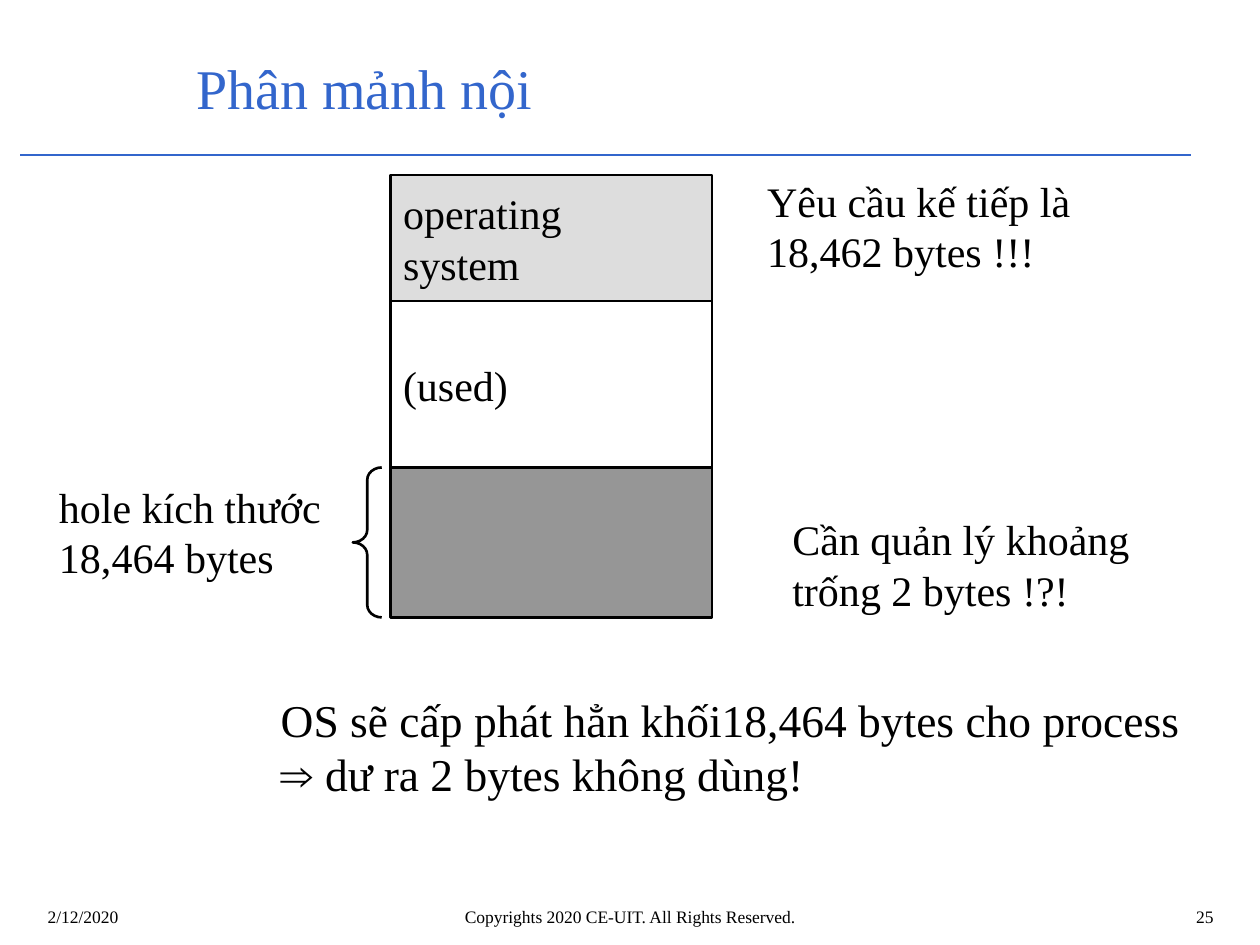
from lxml import etree
from pptx import Presentation
from pptx.dml.color import RGBColor
from pptx.enum import shapes as sh, text as tx
from pptx.oxml.ns import qn
from pptx.util import Inches, Pt

FONT = "Times New Roman"
COLORS = {"ink": "000000", "blue": "3366CC", "light": "DDDDDD", "dark": "969696"}
LEFT, MID, RIGHT = tx.PP_ALIGN.LEFT, tx.PP_ALIGN.CENTER, tx.PP_ALIGN.RIGHT


def color(name):
    return RGBColor.from_string(COLORS[name])


def write(frame, words, size=24, ink="ink", align=LEFT, middle=False, wrap=True):
    frame.text = words
    frame.word_wrap = wrap
    frame.vertical_anchor = tx.MSO_ANCHOR.MIDDLE if middle else tx.MSO_ANCHOR.TOP
    for par in frame.paragraphs:
        par.alignment = align
        for run in par.runs:
            run.font.name = FONT
            run.font.size = Pt(size)
            run.font.color.rgb = color(ink)


def label(slide, box, words, **style):
    area = slide.shapes.add_textbox(*map(Inches, box))
    write(area.text_frame, words, **style)


def outline(slide, kind, box, fill=None):
    """Add a black-edged preset shape, hollow unless a fill is named."""
    shape = slide.shapes.add_shape(kind, *map(Inches, box))
    shape.shadow.inherit = False
    if fill:
        shape.fill.solid()
        shape.fill.fore_color.rgb = color(fill)
    else:
        shape.fill.background()
    shape.line.color.rgb = color("ink")
    shape.line.width = Pt(1.5)
    return shape


def header(slide, left, top, width):
    label(slide, (left + 1.3, top, 8.04, 0.76), "Phân mảnh nội",
          size=32, ink="blue", middle=True)
    y = Inches(top + 0.92)
    rule = slide.shapes.add_connector(
        sh.MSO_CONNECTOR.STRAIGHT, Inches(left), y, Inches(left + width), y)
    rule.line.color.rgb = color("blue")
    rule.line.width = Pt(0.75)
    etree.SubElement(rule._element.spPr, qn("a:effectLst"))


def memory(slide, left, top, width):
    """Stack the memory blocks and bracket the hole at the bottom."""
    blocks = [
        ("operating\nsystem", 1, "light"),
        ("(used)", 1.32, None),
        ("", 1.19, "dark"),
    ]
    for words, height, fill in blocks:
        block = outline(slide, sh.MSO_SHAPE.RECTANGLE, (left, top, width, height), fill)
        if words:
            write(block.text_frame, words, middle=True)
        top += height
    hole = top - height
    brace = outline(slide, sh.MSO_SHAPE.LEFT_BRACE, (left - 0.3, hole, 0.23, height))
    brace.adjustments[0] = 0.43
    label(slide, (left - 2.73, hole + 0.06, 2.3, 0.91),
          "hole kích thước\n18,464 bytes", wrap=False)


def notes(slide, left, top):
    label(slide, (left + 3.86, top, 3.15, 0.91), "Yêu cầu kế tiếp là 18,462 bytes !!!")
    label(slide, (left + 4.06, top + 2.69, 3.31, 0.91),
          "Cần quản lý khoảng trống 2 bytes !?!")
    label(slide, (left, top + 4.1, 7.36, 0.97),
          "OS sẽ cấp phát hẳn khối18,464 bytes cho process ⇒ dư ra 2 bytes không dùng!",
          size=26)


def footer(slide, left, top):
    parts = [
        (0, 2.33, "2/12/2020", LEFT),
        (1.65, 6.14, "Copyrights 2020 CE-UIT. All Rights Reserved.", MID),
        (7.53, 1.92, "25", RIGHT),
    ]
    for dx, width, words, align in parts:
        label(slide, (left + dx, top, width, 0.32), words, size=10, align=align)


def main():
    deck = Presentation()
    deck.slide_width, deck.slide_height = Inches(10), Inches(7.5)
    slide = deck.slides.add_slide(deck.slide_layouts[6])
    header(slide, 0.16, 0.31, 9.29)
    memory(slide, 3.1, 1.39, 2.55)
    notes(slide, 2.13, 1.34)
    footer(slide, 0.28, 7.14)
    deck.save("out.pptx")


if __name__ == "__main__":
    main()
